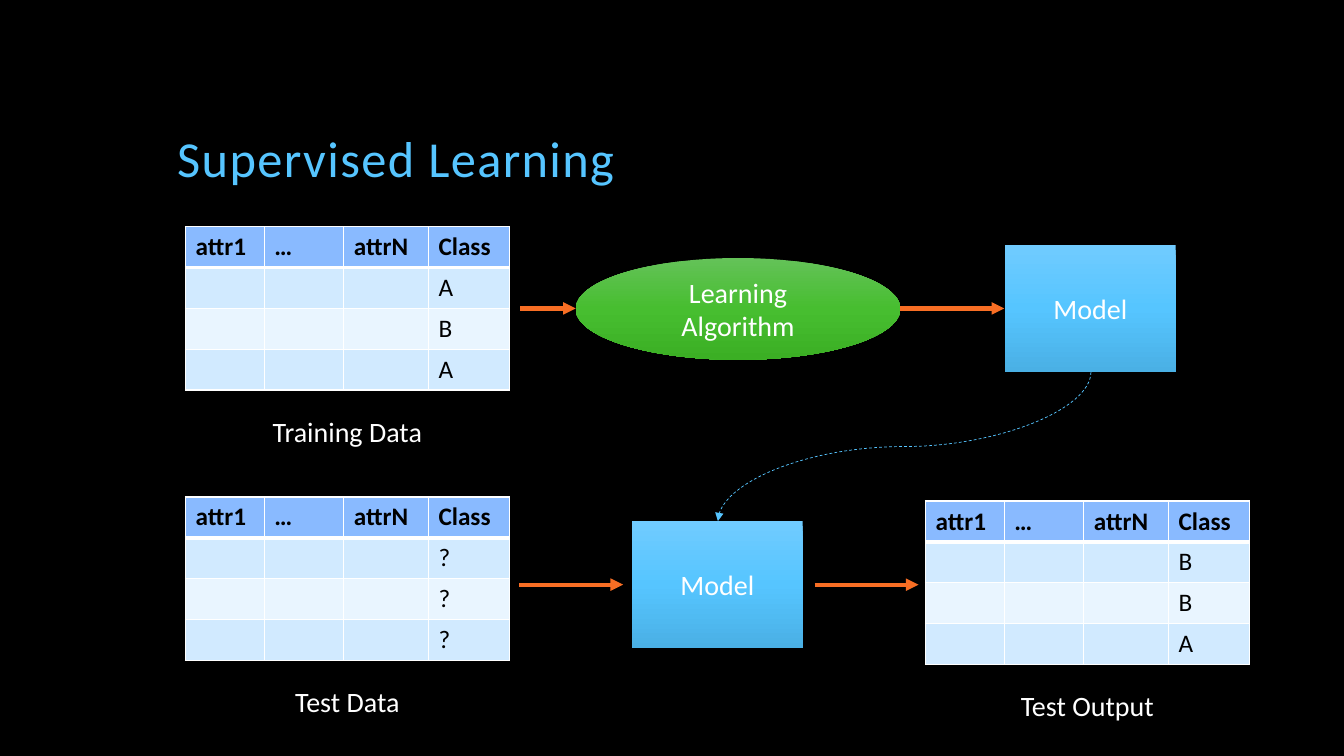
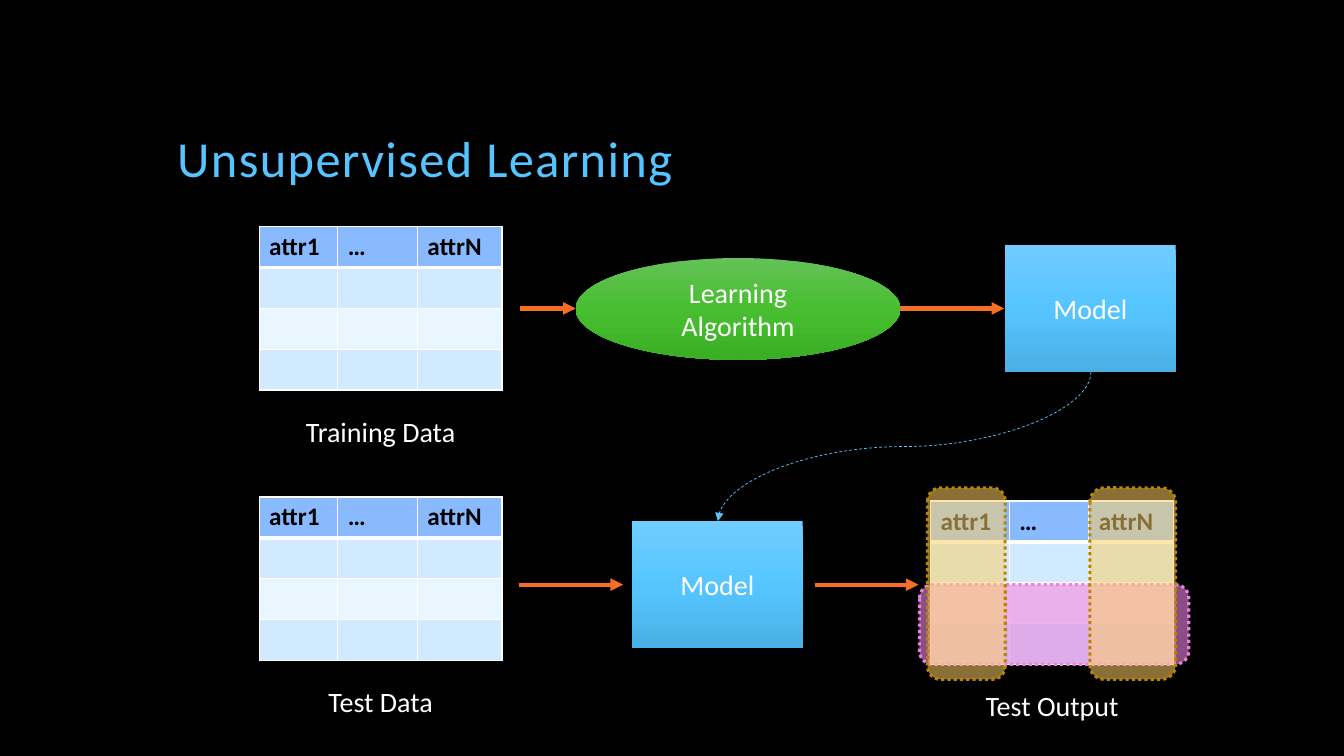
from lxml.etree import SubElement
from pptx import Presentation
from pptx.dml.color import RGBColor
from pptx.enum.dml import MSO_LINE
from pptx.enum.shapes import MSO_CONNECTOR, MSO_SHAPE
from pptx.enum.text import MSO_ANCHOR, PP_ALIGN
from pptx.oxml.ns import qn
from pptx.util import Inches, Pt

# Shared look
BACKGROUND, WHITE, BLACK = "000000", "FFFFFF", "000000"
BLUE, ORANGE = "56C5FF", "F86E24"
HEADER_FILL, BAND_FILLS = "89BAFF", ("D1EAFF", "E9F5FF")
MODEL_GRADIENT = ("70CBFF", BLUE, "4AB0E5")
ALGORITHM_GRADIENT = ("64C258", "47BE30", "3BAF24")
PINK, YELLOW, GOLD = "E983DD", "FDD067", "BA8403"

TITLE_FONT = {"name": "Calibri", "size": Pt(36)}
BODY_FONT = {"name": "Calibri", "size": Pt(20)}
CELL_FONT = {"name": "Calibri", "size": Pt(18), "bold": False}
HEADER_FONT = {**CELL_FONT, "bold": True}

# Data table grid
HEADERS = ("attr1", "…", "attrN", "Class")
COLUMN_WIDTHS = (0.78, 0.79, 0.84, 0.8)
ROW_HEIGHT, ROW_COUNT = 0.405, 4
MODEL_WIDTH, MODEL_HEIGHT = 1.69, 1.26


def color(hex_value):
    return RGBColor.from_string(hex_value)


def box(left, top, width, height):
    return [Inches(value) for value in (left, top, width, height)]


def write(text_frame, text, font_values, font_color, **paragraph_values):
    """Put one formatted paragraph into a text frame and return its run."""
    text_frame.word_wrap = True
    paragraph = text_frame.paragraphs[0]
    for name, value in paragraph_values.items():
        setattr(paragraph, name, value)
    run = paragraph.add_run()
    run.text = text
    for name, value in font_values.items():
        setattr(run.font, name, value)
    run.font.color.rgb = color(font_color)
    return run


def add_title(slide, text):
    text_frame = slide.shapes.add_textbox(*box(1.66, 0.42, 10, 1.5)).text_frame
    text_frame.vertical_anchor = MSO_ANCHOR.BOTTOM
    run = write(text_frame, text, TITLE_FONT, BLUE, line_spacing=0.9)
    run.font._element.set("spc", "100")


def add_border(cell, side, points):
    properties = cell._tc.get_or_add_tcPr()
    line = SubElement(properties, qn(f"a:ln{side}"), w=str(Pt(points)))
    SubElement(SubElement(line, qn("a:solidFill")), qn("a:srgbClr"), val=WHITE)


def add_data_table(slide, left, top, caption, classes):
    """Table of attributes with its caption; classes fill a fourth column."""
    widths = COLUMN_WIDTHS if classes else COLUMN_WIDTHS[:3]
    total_width = sum(widths)
    frame = slide.shapes.add_table(
        ROW_COUNT, len(widths), *box(left, top, total_width, ROW_HEIGHT * ROW_COUNT))
    table = frame.table
    for column, width in zip(table.columns, widths):
        column.width = Inches(width)

    for row in range(ROW_COUNT):
        for column in range(len(widths)):
            cell = table.cell(row, column)
            for side in "LRTB":
                thick = (row, side) in ((0, "B"), (1, "T"))
                add_border(cell, side, 3 if thick else 1)
            cell.fill.solid()
            cell.fill.fore_color.rgb = color(
                BAND_FILLS[(row - 1) % 2] if row else HEADER_FILL)
            if row == 0:
                write(cell.text_frame, HEADERS[column], HEADER_FONT, BLACK)
            elif column == 3:
                write(cell.text_frame, classes[row - 1], CELL_FONT, BLACK)

    caption_width = 1.79
    caption_left = left + (total_width - caption_width) / 2
    caption_box = slide.shapes.add_textbox(
        *box(caption_left, top + 1.81, caption_width, 0.44))
    write(caption_box.text_frame, caption, BODY_FONT, WHITE, alignment=PP_ALIGN.CENTER)


def add_node(slide, preset, area, text, gradient):
    """Labelled shape with a vertical three-stop gradient."""
    shape = slide.shapes.add_shape(preset, *box(*area))
    shape.shadow.inherit = False
    shape.line.fill.background()
    shape.fill.gradient()
    shape.fill.gradient_angle = 270
    stops = shape._element.spPr.find(qn("a:gradFill")).find(qn("a:gsLst"))
    stops.clear()
    for position, hex_value in zip((0, 50000, 100000), gradient):
        stop = SubElement(stops, qn("a:gs"), pos=str(position))
        SubElement(stop, qn("a:srgbClr"), val=hex_value)
    shape.text_frame.vertical_anchor = MSO_ANCHOR.MIDDLE
    write(shape.text_frame, text, BODY_FONT, WHITE, alignment=PP_ALIGN.CENTER)


def add_model(slide, left, top):
    add_node(slide, MSO_SHAPE.RECTANGLE, (left, top, MODEL_WIDTH, MODEL_HEIGHT),
             "Model", MODEL_GRADIENT)


def add_arrow(slide, kind, start, end, line_color, points):
    arrow = slide.shapes.add_connector(
        kind, *[Inches(value) for value in (*start, *end)])
    arrow.line.color.rgb = color(line_color)
    arrow.line.width = Pt(points)
    SubElement(arrow.line._get_or_add_ln(), qn("a:tailEnd"), type="triangle")
    SubElement(arrow._element.spPr, qn("a:effectLst"))
    return arrow


def add_flow_arrow(slide, left, right, y):
    add_arrow(slide, MSO_CONNECTOR.STRAIGHT, (left, y), (right, y), ORANGE, 3)


def add_reuse_curve(slide, start, end):
    """Dashed S-curve leaving downwards: a curve turned by a quarter."""
    center_x, center_y = [(a + b) / 2 for a, b in zip(start, end)]
    half_width, half_height = (end[1] - start[1]) / 2, (start[0] - end[0]) / 2
    curve = add_arrow(slide, MSO_CONNECTOR.CURVE,
                      (center_x - half_width, center_y - half_height),
                      (center_x + half_width, center_y + half_height), BLUE, 0.5)
    curve.line.dash_style = MSO_LINE.DASH
    curve._element.spPr.find(qn("a:xfrm")).set("rot", "5400000")


def add_highlight(slide, area, fill_color, opacity, line_color):
    shape = slide.shapes.add_shape(MSO_SHAPE.ROUNDED_RECTANGLE, *box(*area))
    shape.shadow.inherit = False
    shape.fill.solid()
    shape.fill.fore_color.rgb = color(fill_color)
    fill = shape._element.spPr.find(qn("a:solidFill"))
    SubElement(fill[0], qn("a:alpha"), val=str(opacity * 1000))
    shape.line.color.rgb = color(line_color)
    shape.line.width = Pt(2.25)
    shape.line.dash_style = MSO_LINE.ROUND_DOT


def add_cluster_highlights(slide, left, top):
    """Row and column groups marked over the table at left, top."""
    add_highlight(slide, (left - 0.11, top + 0.83, 2.67, 0.79), PINK, 60, PINK)
    for offset, width in ((-0.03, 0.77), (1.58, 0.85)):
        add_highlight(slide, (left + offset, top - 0.13, width, 1.9), YELLOW, 54, GOLD)


def add_learning_slide(presentation, title, input_left, output_left, classes):
    slide = presentation.slides.add_slide(presentation.slide_layouts[6])
    slide.background.fill.solid()
    slide.background.fill.fore_color.rgb = color(BACKGROUND)
    add_title(slide, title)
    training, test, output = classes or (None, None, None)

    # Training row
    add_data_table(slide, input_left, 2.25, "Training Data", training)
    add_model(slide, 9.97, 2.43)
    add_node(slide, MSO_SHAPE.OVAL, (5.71, 2.56, 3.22, 1.01),
             "Learning Algorithm", ALGORITHM_GRADIENT)
    add_flow_arrow(slide, 8.93, 9.96, 3.06)
    add_flow_arrow(slide, 5.16, 5.71, 3.06)

    # Test row
    add_data_table(slide, input_left, 4.93, "Test Data", test)
    add_model(slide, 6.27, 5.17)
    add_flow_arrow(slide, 5.15, 6.18, 5.8)
    add_flow_arrow(slide, 8.08, 9.11, 5.8)
    add_data_table(slide, output_left, 4.97, "Test Output", output)

    # Trained model carried over to the test row
    add_reuse_curve(slide, (10.82, 3.69), (7.12, 5.17))
    if not classes:
        add_cluster_highlights(slide, output_left, 4.97)


def main():
    presentation = Presentation()
    presentation.slide_width = Inches(13.33)
    presentation.slide_height = Inches(7.5)
    add_learning_slide(presentation, "Supervised Learning", 1.84, 9.18,
                       ("ABA", "???", "BBA"))
    add_learning_slide(presentation, "Unsupervised Learning", 2.57, 9.23, None)
    presentation.save("out.pptx")


if __name__ == "__main__":
    main()
